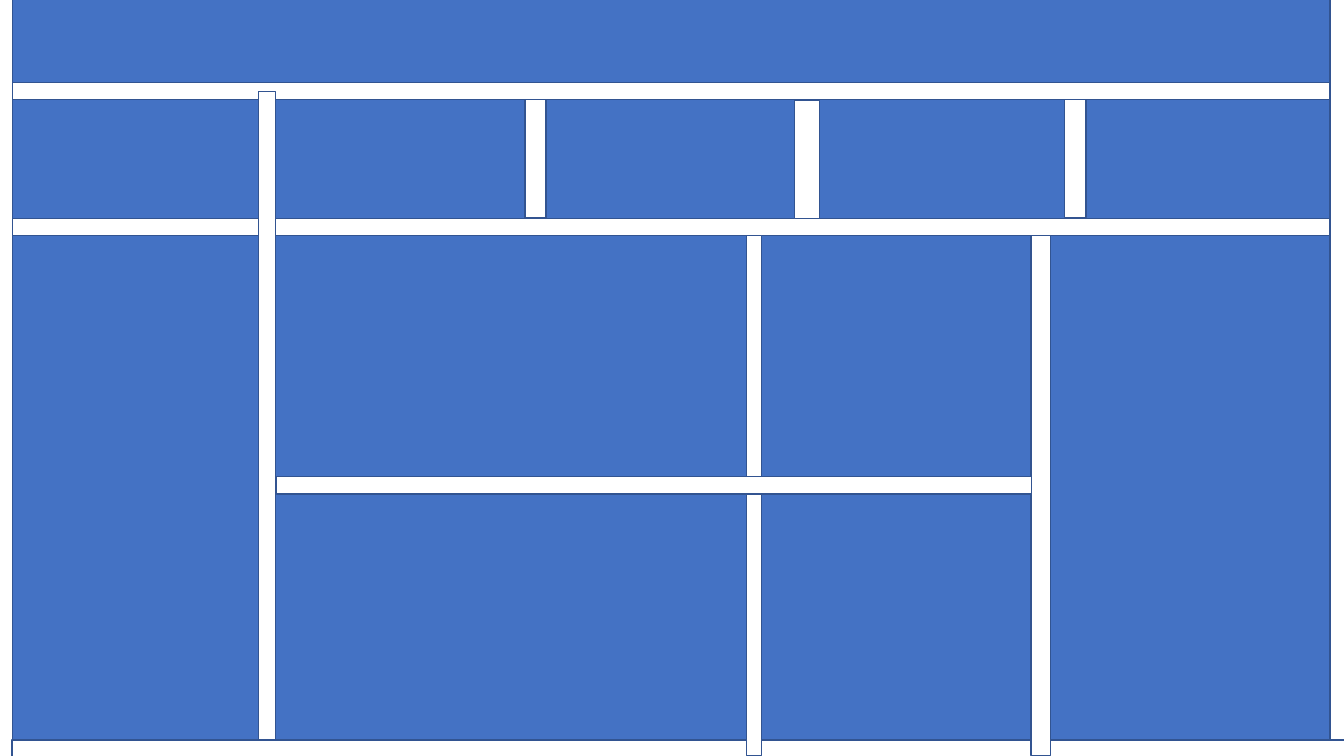
from dataclasses import dataclass

from pptx import Presentation
from pptx.dml.color import RGBColor
from pptx.enum.shapes import MSO_SHAPE as Preset
from pptx.shapes.autoshape import Shape
from pptx.shapes.shapetree import SlideShapes
from pptx.util import Inches, Pt

SLIDE_WIDTH = Inches(13.33)
SLIDE_HEIGHT = Inches(7.5)
BLANK_LAYOUT = 6

PANEL_BLUE = RGBColor(0x44, 0x72, 0xC4)
GUTTER_WHITE = RGBColor(0xFF, 0xFF, 0xFF)
EDGE_BLUE = RGBColor(0x32, 0x54, 0x91)

# Shares of the slide, in percent
ROW_GAP = 2.27
COLUMN_GAP = 1.28
NARROW_GAP = 1.13
CARD_GAP = 1.58
LEFT_MARGIN = 0.9
BODY_TOP = 31.13
BODY_HEIGHT = 68.8


@dataclass(frozen=True)
class Block:
    """A rectangle as it shows, in percent of the slide's width and height."""
    left: float
    top: float
    width: float
    height: float
    fill: RGBColor = GUTTER_WHITE
    upright: bool = False


def row_gutter(left: float, top: float, width: float) -> Block:
    return Block(left, top, width, ROW_GAP)


def column_gutter(left: float, top: float, width: float, height: float) -> Block:
    return Block(left, top, width, height, upright=True)


BLOCKS = [
    Block(0, -0.27, 100, 100.27, fill=PANEL_BLUE),
    # Below the header and below the cards
    row_gutter(-0.23, 10.93, 100.45),
    row_gutter(LEFT_MARGIN, 28.93, 98.05),
    # Beside the sidebar, then between the cards
    column_gutter(19.24, 12.07, COLUMN_GAP, 85.87),
    column_gutter(39.05, 13.13, CARD_GAP, 15.73),
    column_gutter(59.11, 13.33, 1.88, 15.6),
    column_gutter(79.22, 13.2, CARD_GAP, 15.6),
    # Left, right and bottom margins
    column_gutter(-0.19, -1.13, NARROW_GAP, 101.33),
    column_gutter(98.95, -1.07, COLUMN_GAP, 104.93),
    row_gutter(LEFT_MARGIN, 97.87, 101.58),
    # Between the body panels
    column_gutter(55.55, BODY_TOP, NARROW_GAP, BODY_HEIGHT),
    column_gutter(76.71, BODY_TOP, 1.43, BODY_HEIGHT),
    row_gutter(20.56, 63.07, 56.19),
]


def draw_block(shapes: SlideShapes, block: Block) -> Shape:
    """Draw a block; an upright one is a level bar turned a quarter."""
    left, width = (round(SLIDE_WIDTH * share / 100) for share in (block.left, block.width))
    top, height = (round(SLIDE_HEIGHT * share / 100) for share in (block.top, block.height))
    if block.upright:
        left, top = left + (width - height) // 2, top + (height - width) // 2
        width, height = height, width
    rectangle = shapes.add_shape(Preset.RECTANGLE, left, top, width, height)
    rectangle.rotation = 90 if block.upright else 0
    rectangle.shadow.inherit = False
    rectangle.fill.solid()
    rectangle.fill.fore_color.rgb = block.fill
    rectangle.line.color.rgb = EDGE_BLUE
    rectangle.line.width = Pt(1)
    return rectangle


def main() -> None:
    deck = Presentation()
    for side, length in {"slide_width": SLIDE_WIDTH, "slide_height": SLIDE_HEIGHT}.items():
        setattr(deck, side, length)
    slide = deck.slides.add_slide(deck.slide_layouts[BLANK_LAYOUT])
    for block in BLOCKS:
        draw_block(slide.shapes, block)
    deck.save("out.pptx")


if __name__ == "__main__":
    main()
